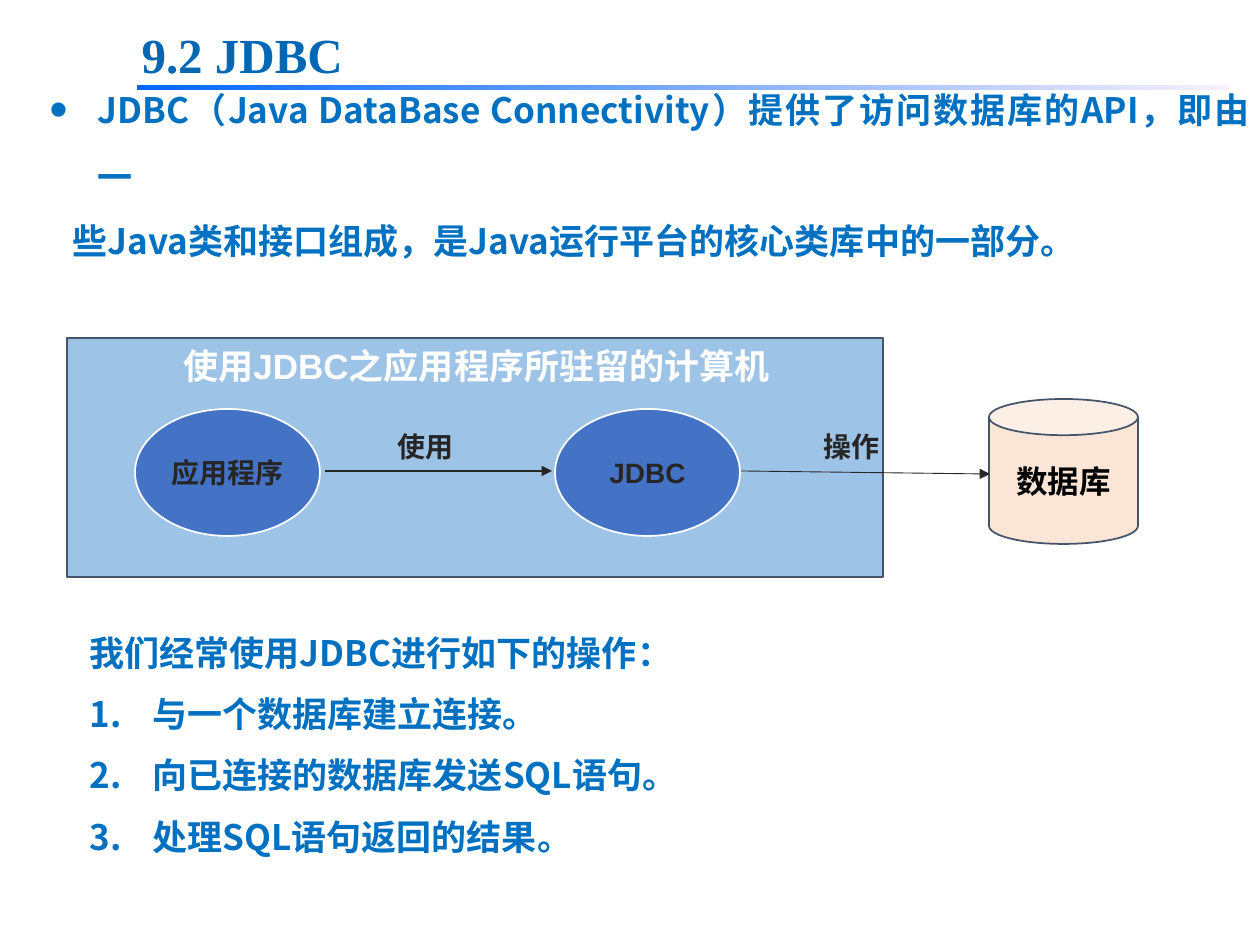
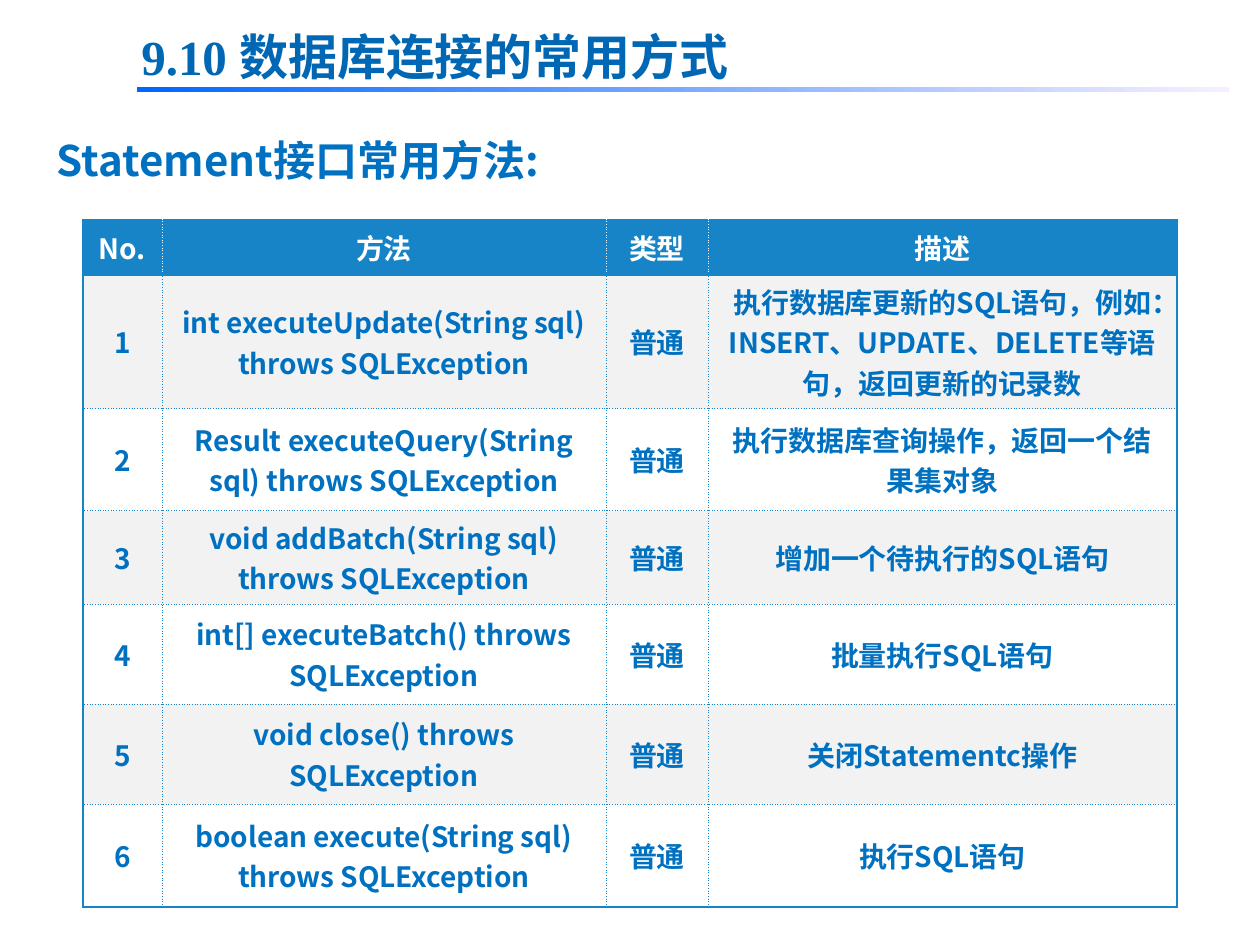
from lxml import etree
from pptx import Presentation
from pptx.dml.color import RGBColor
from pptx.enum.shapes import MSO_CONNECTOR, MSO_SHAPE
from pptx.enum.text import MSO_ANCHOR, MSO_AUTO_SIZE, PP_ALIGN
from pptx.oxml.ns import qn
from pptx.util import Pt

LEFT, CENTER, JUSTIFY = PP_ALIGN.LEFT, PP_ALIGN.CENTER, PP_ALIGN.JUSTIFY
TOP, MIDDLE, BOTTOM = MSO_ANCHOR.TOP, MSO_ANCHOR.MIDDLE, MSO_ANCHOR.BOTTOM
RECT, OVAL, CAN = MSO_SHAPE.RECTANGLE, MSO_SHAPE.OVAL, MSO_SHAPE.CAN
STRAIGHT = MSO_CONNECTOR.STRAIGHT
FIXED = MSO_AUTO_SIZE.NONE

SANS, SERIF, LABEL = "Noto Sans CJK SC", "Times New Roman", "Arial"
COLORS = {
    "heading": "0067B4", "body": "0070C0", "rule_start": "0066FF", "rule_end": "F7EFFF",
    "white": "FFFFFF", "black": "000000", "ink": "262626", "outline": "44546A",
    "computer": "9DC3E6", "node": "4472C4", "database": "FBE5D6",
    "table": "1784C7", "stripe": "F2F2F2",
}

# Content: paragraphs are (text, format) pairs
SECTION_1 = "9.2 JDBC"
INTRO = [
    ("JDBC（Java DataBase Connectivity）提供了访问数据库的API，即由一",
     dict(bullet="•", margin=48, hang=48, line=38)),
    ("些Java类和接口组成，是Java运行平台的核心类库中的一部分。",
     dict(margin=23, line=33, before=4)),
]
OPERATIONS_LEAD = "我们经常使用JDBC进行如下的操作："
OPERATIONS = ["与一个数据库建立连接。", "向已连接的数据库发送SQL语句。", "处理SQL语句返回的结果。"]
COMPUTER = "使用JDBC之应用程序所驻留的计算机"
NODES = [("应用程序", 135), ("JDBC", 555)]
DATABASE = "数据库"
ARROWS = [((325, 471), (552, 471), 1), ((741, 471), (990, 474), 0.5)]
ARROW_LABELS = [("使用", 384), ("操作", 810)]

SECTION_2 = "9.10 数据库连接的常用方式"
METHODS_TITLE = "Statement接口常用方法:"
METHOD_HEADER = ("No.", "方法", "类型", "描述")
METHODS = [
    ("int executeUpdate(String sql) throws SQLException",
     "执行数据库更新的SQL语句，例如：INSERT、UPDATE、DELETE等语句，返回更新的记录数"),
    ("Result executeQuery(String sql) throws SQLException", "执行数据库查询操作，返回一个结果集对象"),
    ("void addBatch(String sql) throws SQLException", "增加一个待执行的SQL语句"),
    ("int[] executeBatch() throws SQLException", "批量执行SQL语句"),
    ("void close() throws SQLException", "关闭Statementc操作"),
    ("boolean execute(String sql) throws SQLException", "执行SQL语句"),
]
METHOD_KIND = "普通"
COLUMN_WIDTHS = (79, 444, 102, 469)
ROW_HEIGHTS = (55, 133, 102, 93, 100, 100, 103)


def px(length):
    return round(length * 914400 / 126)


def box(*lengths):
    return [px(length) for length in lengths]


def rgb(name):
    return RGBColor.from_string(COLORS[name])


def sub(parent, tag, **attributes):
    return etree.SubElement(parent, qn(tag), attributes)


def add_bullet(paragraph, bullet):
    properties = paragraph._p.get_or_add_pPr()
    if bullet == "1.":
        sub(properties, "a:buAutoNum", type="arabicPeriod")
    else:
        sub(properties, "a:buSzPct", val="150000")
        sub(properties, "a:buFont", typeface=LABEL)
        sub(properties, "a:buChar", char=bullet)


def write(frame, text, size=16, font=SANS, color="body", align=LEFT, anchor=TOP,
          wrap=True, line=None):
    """Fill a text frame with bold text: a string or (text, format) pairs."""
    frame.word_wrap, frame.vertical_anchor = wrap, anchor
    frame.auto_size = FIXED
    paragraphs = [(text, {})] if isinstance(text, str) else text
    for index, (words, extra) in enumerate(paragraphs):
        paragraph = frame.add_paragraph() if index else frame.paragraphs[0]
        properties = paragraph._p.get_or_add_pPr()
        properties.set("marL", str(px(extra.get("margin", 0))))
        properties.set("indent", str(-px(extra.get("hang", 0))))
        if "bullet" in extra:
            add_bullet(paragraph, extra["bullet"])
        paragraph.alignment = align
        spacing = extra.get("line", line)
        if spacing:
            paragraph.line_spacing = Pt(spacing)
        if "before" in extra:
            paragraph.space_before = Pt(extra["before"])
        run = paragraph.add_run()
        run.text = words
        run.font.size, run.font.bold, run.font.name = Pt(size), True, font
        run.font.color.rgb = rgb(color)
        sub(run._r.get_or_add_rPr(), "a:ea", typeface=SANS)


def add_text(slide, place, text, **form):
    write(slide.shapes.add_textbox(*box(*place)).text_frame, text, **form)


def add_title(slide, place, text, **form):
    title = slide.shapes.title
    title.left, title.top, title.width, title.height = box(*place)
    write(title.text_frame, text, **form)


def add_figure(slide, kind, place, fill, outline=None):
    figure = slide.shapes.add_shape(kind, *box(*place))
    figure.shadow.inherit = False
    figure.fill.solid()
    figure.fill.fore_color.rgb = rgb(fill)
    if outline:
        figure.line.color.rgb, figure.line.width = rgb(outline), Pt(1)
    else:
        figure.line.fill.background()
    return figure


def add_arrow(slide, start, end, weight):
    arrow = slide.shapes.add_connector(STRAIGHT, *box(*start, *end))
    arrow.line.color.rgb, arrow.line.width = rgb("ink"), Pt(weight)
    sub(arrow.line._get_or_add_ln(), "a:tailEnd", type="triangle")
    sub(arrow._element.spPr, "a:effectLst")


def add_section(slide, text, top, put=add_text):
    """Section heading with the fading rule under it."""
    rule = add_figure(slide, RECT, (137, top + 67, 1092, 5), "rule_start")
    rule.fill.gradient()
    rule.fill.gradient_angle = 0
    for stop, color in zip(rule.fill.gradient_stops, ("rule_start", "rule_end")):
        stop.color.rgb = rgb(color)
    put(slide, (129, top, 1100, 72), text, size=28, font=SERIF, color="heading", align=JUSTIFY)


def set_borders(cell, row, column):
    last_row, last_column = len(ROW_HEIGHTS) - 1, len(COLUMN_WIDTHS) - 1
    solid_sides = (("a:lnL", column == 0), ("a:lnR", column == last_column),
                   ("a:lnT", row < 2), ("a:lnB", row in (0, last_row)))
    properties = cell._tc.get_or_add_tcPr()
    for tag, solid in solid_sides:
        color = "table" if solid or row else "white"
        edge = sub(properties, tag, w=str(Pt(1.5 if solid else 0.25)))
        sub(sub(edge, "a:solidFill"), "a:srgbClr", val=COLORS[color])
        sub(edge, "a:prstDash", val="solid" if solid else "dot")


def add_methods_table(slide):
    rows = [METHOD_HEADER] + [(str(number), method, METHOD_KIND, description)
                              for number, (method, description) in enumerate(METHODS, 1)]
    place = box(83, 220, sum(COLUMN_WIDTHS), sum(ROW_HEIGHTS))
    table = slide.shapes.add_table(len(rows), len(METHOD_HEADER), *place).table
    table.horz_banding = False
    for column, width in zip(table.columns, COLUMN_WIDTHS):
        column.width = px(width)
    for row, (words, height) in enumerate(zip(rows, ROW_HEIGHTS)):
        table.rows[row].height = px(height)
        fill = "stripe" if row % 2 else "white"
        for column, text in enumerate(words):
            cell = table.cell(row, column)
            set_borders(cell, row, column)
            cell.fill.solid()
            cell.fill.fore_color.rgb = rgb(fill if row else "table")
            write(cell.text_frame, text, color="body" if row else "white", align=CENTER)
            cell.vertical_anchor = MIDDLE


def build_jdbc(slide):
    # Operations list
    operations = add_figure(slide, RECT, (77, 606, 942, 260), "white")
    numbered = dict(bullet="1.", margin=63, hang=63)
    write(operations.text_frame, [(OPERATIONS_LEAD, {})] + [(item, numbered) for item in OPERATIONS],
          size=20, line=35)
    add_section(slide, SECTION_1, 18, put=add_title)

    # Diagram
    database = add_figure(slide, CAN, (989, 399, 149, 145), "database", "outline")
    write(database.text_frame, DATABASE, size=18, color="black", align=CENTER, anchor=MIDDLE)
    add_figure(slide, RECT, (67, 338, 816, 239), "computer", "outline")
    add_text(slide, (161, 338, 631, 55), COMPUTER, size=20, font=LABEL, color="white",
             align=CENTER, wrap=False)
    label = dict(font=LABEL, color="ink", align=CENTER, wrap=False)
    for text, left in NODES:
        node = add_figure(slide, OVAL, (left, 409, 185, 127), "node", "white")
        write(node.text_frame, text, anchor=MIDDLE, **label)
    for arrow in ARROWS:
        add_arrow(slide, *arrow)
    for text, left in ARROW_LABELS:
        add_text(slide, (left, 423, 83, 47), text, **label)

    # Introduction
    add_text(slide, (37, 54, 1225, 214), INTRO, size=20, align=JUSTIFY, anchor=BOTTOM)


def build_methods(slide):
    add_section(slide, SECTION_2, 20)
    add_title(slide, (44, 116, 1216, 88), METHODS_TITLE, size=24, anchor=MIDDLE)
    add_methods_table(slide)


def main():
    deck = Presentation()
    deck.slide_width, deck.slide_height = box(1260, 945)
    for build in (build_jdbc, build_methods):
        build(deck.slides.add_slide(deck.slide_layouts[5]))
    deck.save("out.pptx")


if __name__ == "__main__":
    main()
